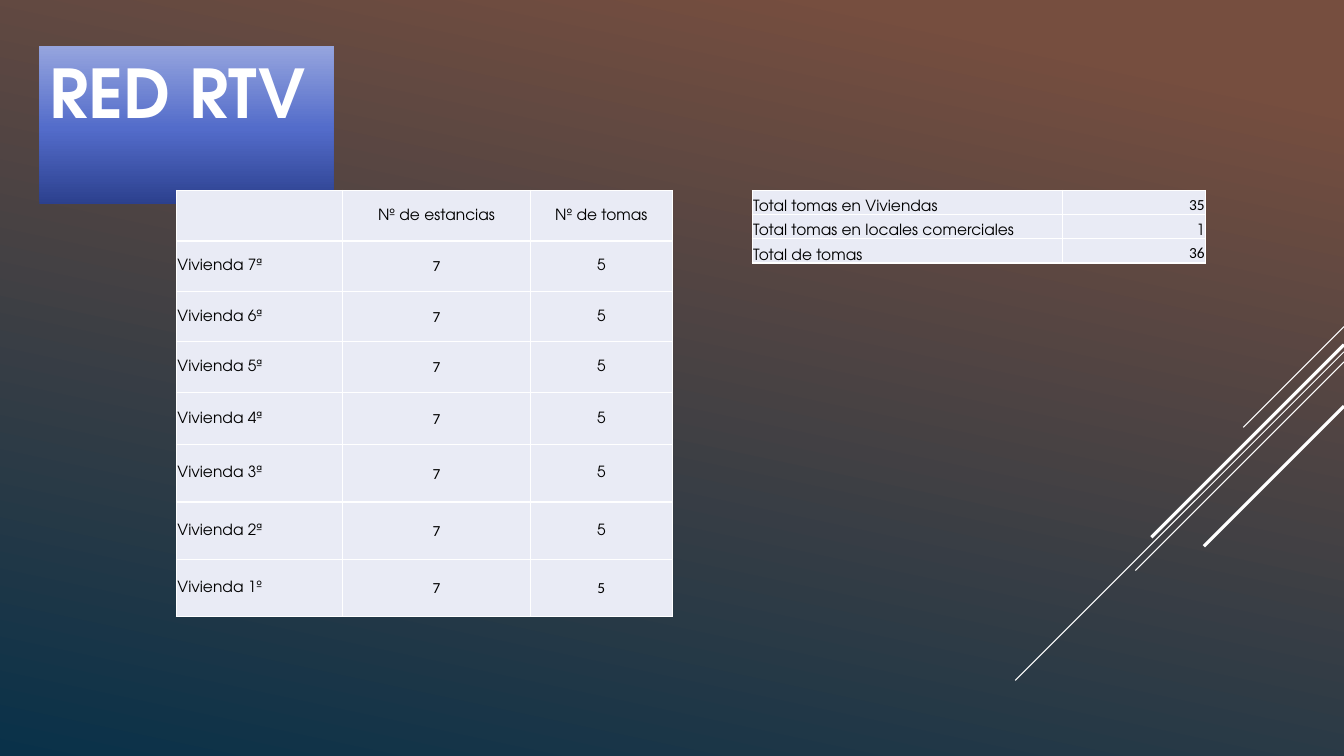
from dataclasses import dataclass
from lxml.etree import SubElement as Sub
from pptx import Presentation
from pptx.dml.color import RGBColor as Rgb
from pptx.enum.shapes import MSO_CONNECTOR as Link
from pptx.enum.text import MSO_ANCHOR as Anchor, MSO_AUTO_SIZE as Fit, PP_ALIGN as Align
from pptx.oxml.ns import qn
from pptx.util import Inches, Pt


@dataclass(frozen=True)
class Theme:
    white: str = "FFFFFF"
    ink: str = "000000"
    cell: str = "E9EBF5"
    back: tuple = ((10, "764E3F"), (100, "093149"))
    badge: tuple = ((0, "2C408E"), (48, "536CCA"), (100, "95A4DE"))
    face: str = "TeX Gyre Adventor"
    plain: str = "Calibri"
    head: int = 48
    body: int = 11
    thin: float = 0.75
    thick: float = 2.25


T = Theme()
WIDE, HIGH = 13.33, 7.5
TITLE = "RED RTV"
HOMES = ["7ª", "6ª", "5ª", "4ª", "3ª", "2ª", "1º"]
ROOMS = [["", "Nº de estancias", "Nº de tomas"]]
ROOMS += [[f"Vivienda {home}", "7", "5"] for home in HOMES]
TOTALS = [
    ["Total tomas en Viviendas", "35"],
    ["Total tomas en locales comerciales", "1"],
    ["Total de tomas", "36"],
]
GRIDS = [
    dict(data=ROOMS, left=1.75, cols=[1.65, 1.86, 1.41],
         rows=[0.5] * 4 + [0.52] + [0.57] * 3, align=Align.CENTER,
         anchor=Anchor.MIDDLE,
         plain={(row, 1) for row in range(1, 8)} | {(7, 2)}),
    dict(data=TOTALS, left=7.46, cols=[3.08, 1.42], rows=[0.24] * 3,
         align=Align.RIGHT, anchor=Anchor.BOTTOM, plain={(0, 1), (2, 1)}),
]
TOP = 1.89
RAYS = [
    (3.24, 1.0, T.thin),
    (3.49, 3.26, T.thin),
    (3.59, 2.07, T.thin),
    (3.42, 1.91, T.thick),
    (4.03, 1.39, T.thick),
]


def write(frame, text, size=T.body, face=T.face, color=T.ink, bold=False, align=Align.LEFT):
    para = frame.paragraphs[0]
    para.text = text
    para.alignment = align
    for font in [para.font] + [run.font for run in para.runs]:
        font.size, font.name, font.bold = Pt(size), face, bold
        font.color.rgb = Rgb.from_string(color)


def blend(fill, root, stops, angle):
    fill.gradient()
    fill.gradient_angle = 360 - angle
    group = root.find(".//" + qn("a:gsLst"))
    for old in list(group):
        group.remove(old)
    for share, color in stops:
        stop = Sub(group, qn("a:gs"), pos=str(share * 1000))
        Sub(stop, qn("a:srgbClr"), val=color)


def edge(cell):
    props = cell._tc.get_or_add_tcPr()
    for side in "LRTB":
        line = Sub(props, qn(f"a:ln{side}"), w=str(Pt(1)))
        Sub(Sub(line, qn("a:solidFill")), qn("a:srgbClr"), val=T.white)


def ray(slide, top, run, width):
    ends = [Inches(n) for n in (WIDE, top, WIDE - run, top + run)]
    line = slide.shapes.add_connector(Link.STRAIGHT, *ends)
    line.line.color.rgb = Rgb.from_string(T.white)
    line.line.width = Pt(width)
    Sub(line._element.spPr, qn("a:effectLst"))


def grid(slide, data, left, cols, rows, align, anchor, plain):
    box = [Inches(n) for n in (left, TOP, sum(cols), sum(rows))]
    table = slide.shapes.add_table(len(rows), len(cols), *box).table
    table.first_row = table.horz_banding = False
    for col, width in zip(table.columns, cols):
        col.width = Inches(width)
    for row, height in zip(table.rows, rows):
        row.height = Inches(height)
    for r, line in enumerate(data):
        for c, text in enumerate(line):
            cell = table.cell(r, c)
            cell.margin_left = cell.margin_right = cell.margin_top = Inches(0.01)
            cell.margin_bottom = 0
            cell.vertical_anchor = anchor
            edge(cell)
            cell.fill.solid()
            cell.fill.fore_color.rgb = Rgb.from_string(T.cell)
            write(cell.text_frame, text, align=align if c else Align.LEFT,
                  face=T.plain if (r, c) in plain else T.face)


def main():
    deck = Presentation()
    deck.slide_width, deck.slide_height = Inches(WIDE), Inches(HIGH)
    slide = deck.slides.add_slide(deck.slide_layouts[5])
    blend(slide.background.fill, slide.element, T.back, 102)
    for item in RAYS:
        ray(slide, *item)
    title = slide.shapes.title
    title.left, title.top, title.width, title.height = [
        Inches(n) for n in (0.39, 0.46, 2.92, 0.91)]
    blend(title.fill, title.element, T.badge, 270)
    frame = title.text_frame
    frame.word_wrap = False
    frame.auto_size = Fit.SHAPE_TO_FIT_TEXT
    frame.vertical_anchor = Anchor.TOP
    write(frame, TITLE, size=T.head, color=T.white, bold=True)
    for item in GRIDS:
        grid(slide, **item)
    deck.save("out.pptx")


if __name__ == "__main__":
    main()
